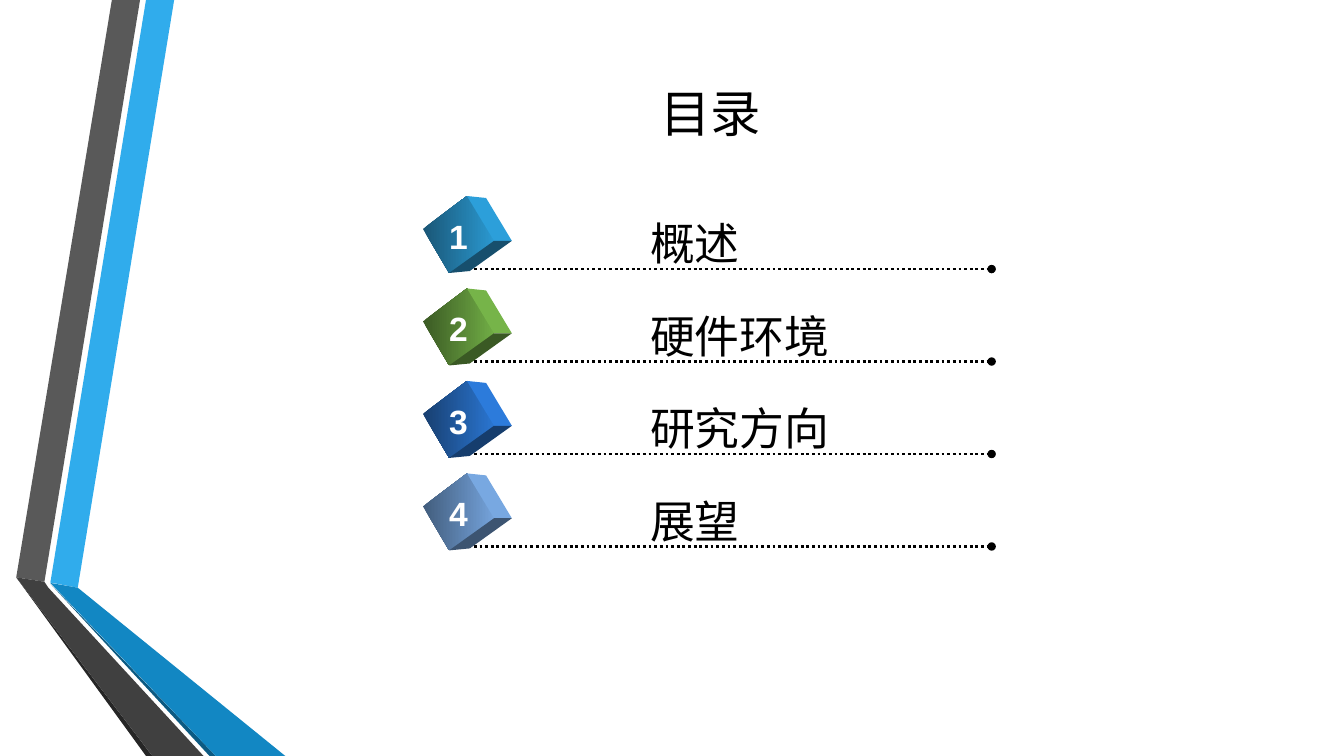
from pptx import Presentation
from pptx.dml.color import RGBColor
from pptx.enum.dml import MSO_LINE
from pptx.enum.shapes import MSO_CONNECTOR
from pptx.enum.text import MSO_ANCHOR, MSO_AUTO_SIZE, PP_ALIGN
from pptx.oxml.ns import qn
from pptx.util import Cm, Pt
from lxml import etree

DOTS = MSO_LINE.ROUND_DOT
LINE = MSO_CONNECTOR.STRAIGHT
TOP, MID = MSO_ANCHOR.TOP, MSO_ANCHOR.MIDDLE
LEFT, MIDST = PP_ALIGN.LEFT, PP_ALIGN.CENTER
FIXED = MSO_AUTO_SIZE.NONE

# Content
TITLE = "目录"
# Label, then front dark, front light, side and base colours
ITEMS = [
    ("概述", "1A5676", "2A98D0", "2C9FDA", "174F6D"),
    ("硬件环境", "3B5A24", "70AC45", "76B449", "3A5924"),
    ("研究方向", "183F70", "2A75D0", "2C7BDB", "163D6D"),
    ("展望", "425D7D", "74A2DA", "78A8E1", "3C5471"),
]

# Ribbon bands in cm
BANDS = [
    ("30ACEC", [(1.27, 14.68), (1.96, 14.81), (4.39, 0), (3.68, 0)]),
    ("595959", [(3.53, 0), (2.82, 0), (0.41, 14.55), (1.12, 14.66)]),
    ("262626", [(0.41, 14.55), (3.68, 19.05), (3.84, 19.05)]),
    ("0C5A82", [(1.27, 14.71), (5.28, 19.05), (5.44, 19.05)]),
    ("1287C3", [(1.27, 14.69), (5.44, 19.05), (7.19, 19.05), (1.96, 14.81)]),
    ("404040", [(5.13, 19.05), (1.22, 14.81), (1.12, 14.66),
                (0.41, 14.55), (3.84, 19.05)]),
]

# Cube faces in cm from the cube's corner
FRONT = [(0, 0.83), (1.11, 0), (1.79, 1.13), (0.66, 1.94)]
SIDE = [(1.11, 0), (1.59, 0.05), (2.24, 1.13), (1.79, 1.13)]
BASE = [(0.66, 1.94), (1.79, 1.13), (2.24, 1.13), (1.18, 1.89)]
CUBE_X, CUBE_Y, PITCH = 10.66, 4.94, 2.33


def color(code):
    return RGBColor.from_string(code)


def place(shape, x, y, w, h):
    shape.left, shape.top = Cm(x), Cm(y)
    shape.width, shape.height = Cm(w), Cm(h)


def outline(points, x=0, y=0):
    spots = [(Cm(x + dx), Cm(y + dy)) for dx, dy in points]
    pen = slide.shapes.build_freeform(*spots[0], scale=1.0)
    pen.add_line_segments(spots[1:], close=True)
    shape = pen.convert_to_shape()
    shape.shadow.inherit = False
    shape.line.fill.background()
    return shape


def paint(shape, code):
    shape.fill.solid()
    shape.fill.fore_color.rgb = color(code)


def write(par, text, size, face, code, align, bold=False):
    par.alignment = align
    run = par.add_run()
    run.text = text
    font = run.font
    font.size, font.name, font.bold = Pt(size), face, bold
    font.color.rgb = color(code)


def add_rule(y):
    rule = slide.shapes.add_connector(LINE, Cm(11.66), Cm(y), Cm(24.99), Cm(y))
    rule.line.width = Pt(2)
    rule.line.color.rgb = color("000000")
    rule.line.dash_style = DOTS
    props = rule.line._get_or_add_ln()
    etree.SubElement(props, qn("a:tailEnd"), type="oval")
    etree.SubElement(rule._element.spPr, qn("a:effectLst"))


def add_cube(y, dark, light, side, base):
    front = outline(FRONT, CUBE_X, y)
    front.fill.gradient()
    front.fill.gradient_angle = 0
    for stop, code in zip(front.fill.gradient_stops, (dark, light)):
        stop.color.rgb = color(code)
    paint(outline(SIDE, CUBE_X, y), side)
    paint(outline(BASE, CUBE_X, y), base)


deck = Presentation()
deck.slide_width, deck.slide_height = Cm(33.87), Cm(19.05)
slide = deck.slides.add_slide(deck.slide_layouts[1])
title, body = slide.placeholders

# Ribbon
for code, points in BANDS:
    paint(outline(points), code)

# Title
place(title, 15.39, 1.93, 5.05, 1.8)
title.text_frame.auto_size = FIXED
title.text_frame.vertical_anchor = MID
write(title.text_frame.paragraphs[0], TITLE, 36, "Cabin", "000000", MIDST)

# Rows: dotted rule, cube and number
for row, (label, *codes) in enumerate(ITEMS):
    y = CUBE_Y + row * PITCH
    add_rule(y + 1.84)
    add_cube(y, *codes)
    box = slide.shapes.add_textbox(Cm(11.07), Cm(y + 0.37), Cm(0.91), Cm(1.27))
    box.text_frame.word_wrap = False
    write(box.text_frame.paragraphs[0], str(row + 1), 24, "Arial", "FFFFFF",
          MIDST, True)

# Labels, one line per row
place(body, 16.13, 4.34, 8.05, 9.6)
frame = body.text_frame
frame.auto_size = FIXED
frame.vertical_anchor = TOP
for row, (label, *codes) in enumerate(ITEMS):
    par = frame.add_paragraph() if row else frame.paragraphs[0]
    par.line_spacing = Cm(PITCH)
    par.space_before = par.space_after = Pt(0)
    props = par._p.get_or_add_pPr()
    props.set("marL", "0")
    props.set("indent", "0")
    etree.SubElement(props, qn("a:buNone"))
    write(par, label, 32, "Arial", "000000", LEFT)

deck.save("out.pptx")
